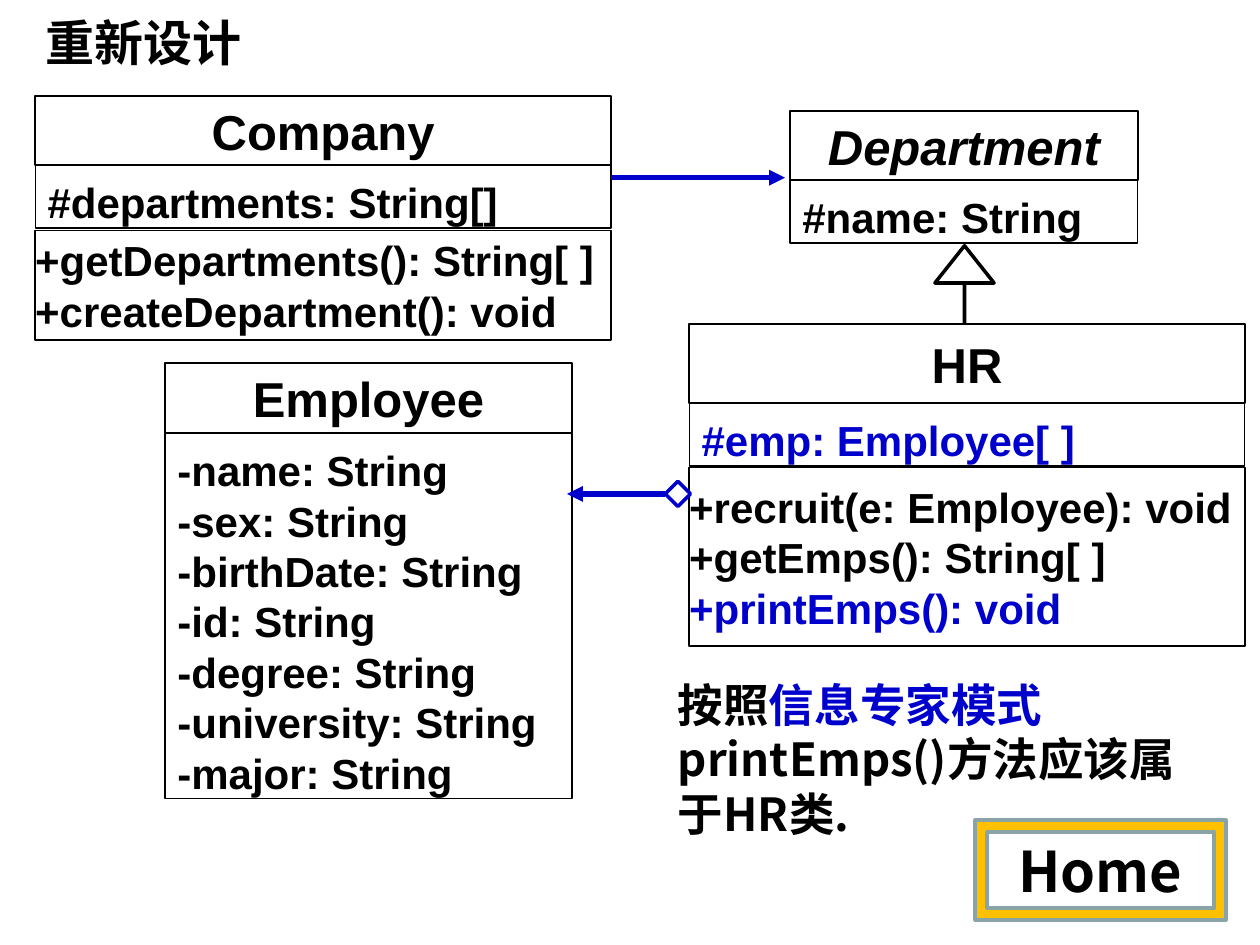
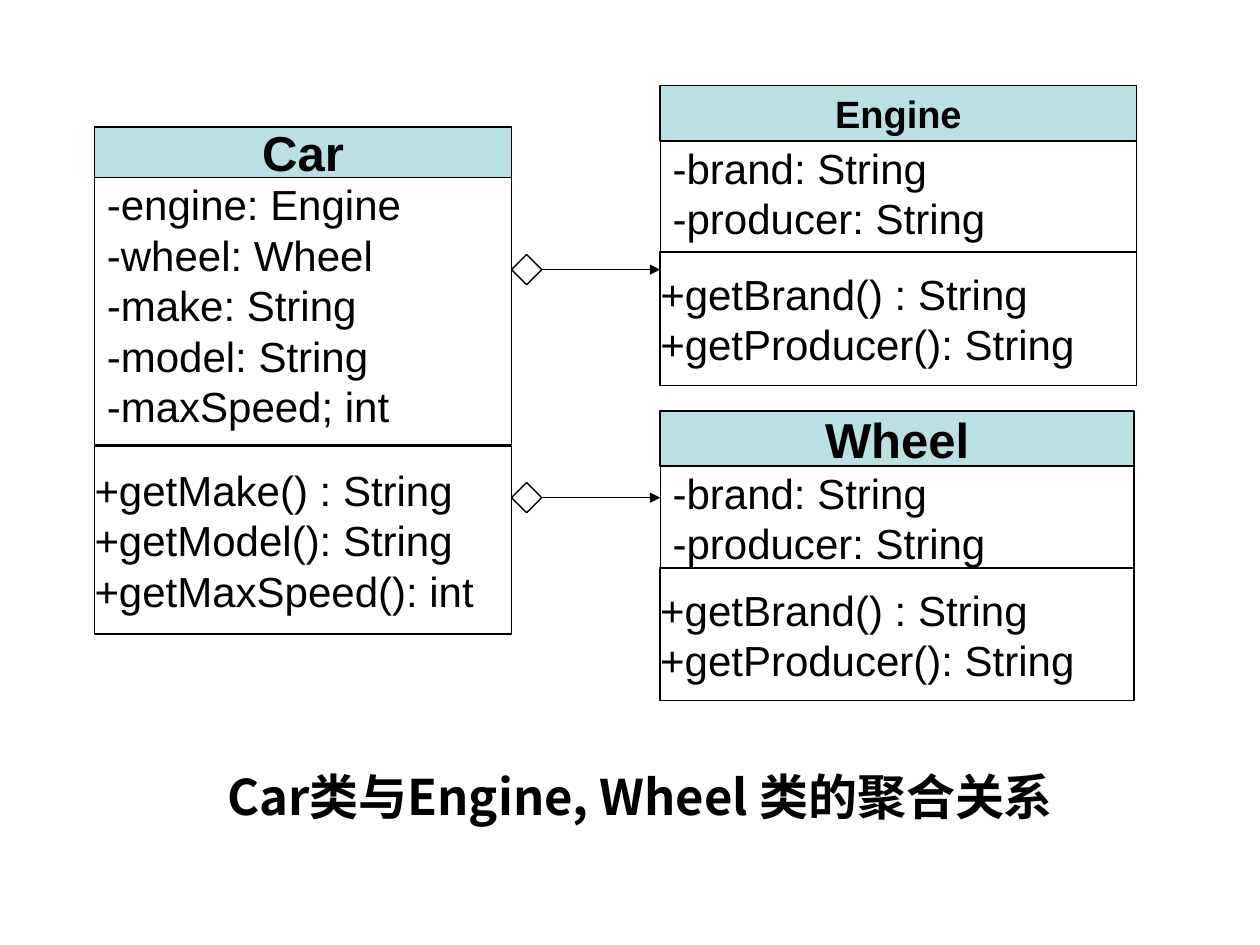
from dataclasses import dataclass

import pptx
import pptx.dml.color
import pptx.enum.shapes
import pptx.enum.text
import pptx.oxml.ns
import pptx.presentation
import pptx.shapes.autoshape
import pptx.shapes.base
import pptx.slide
import pptx.text.text
import pptx.util
from lxml import etree
from pptx.dml.color import RGBColor
from pptx.enum.shapes import MSO_SHAPE
from pptx.enum.text import MSO_ANCHOR, PP_ALIGN
from pptx.util import Inches

BLACK = RGBColor(0x00, 0x00, 0x00)
WHITE = RGBColor(0xFF, 0xFF, 0xFF)
BLUE = RGBColor(0x00, 0x00, 0xCC)
PALE_TEAL = RGBColor(0xBB, 0xE0, 0xE3)
GOLD = RGBColor(0xFF, 0xC0, 0x00)
GREY_TEAL = RGBColor(0x89, 0xA4, 0xA7)

DIAGRAM_FONT = "Arial"
TEXT_FONT = "Noto Sans CJK SC"
MEMBER_SIZE = 24
TITLE_SIZE = 28
TITLE_AND_CONTENT = 1
TITLE_ONLY = 5


@dataclass(frozen=True)
class DiagramStyle:
    header_fill: RGBColor
    bold_members: bool
    attribute_inset: float


@dataclass(frozen=True)
class ClassBox:
    name: str
    left: float
    top: float
    width: float
    heights: tuple[float, ...]
    attributes: tuple[str, ...]
    methods: tuple[str, ...] = ()
    method_gap: float = 0
    name_size: float = TITLE_SIZE
    abstract: bool = False
    highlights: tuple[str, ...] = ()


@dataclass(frozen=True)
class Association:
    start: float
    end: float
    y: float
    color: RGBColor
    line_width: float
    diamond_size: float = 0
    diamond_line: float = 0.75


REDESIGN_STYLE = DiagramStyle(WHITE, True, 0.09)
CAR_STYLE = DiagramStyle(PALE_TEAL, False, 0.01)

REDESIGN_CLASSES = (
    ClassBox("Company", 0.28, 0.76, 4.57, (0.55, 0.5, 0.87),
             ("#departments: String[]",),
             ("+getDepartments(): String[ ]", "+createDepartment(): void"),
             method_gap=0.02),
    ClassBox("HR", 5.47, 2.57, 4.41, (0.63, 0.5, 1.42),
             ("#emp: Employee[ ]",),
             ("+recruit(e: Employee): void", "+getEmps(): String[ ]",
              "+printEmps(): void"),
             method_gap=0.01,
             highlights=("#emp: Employee[ ]", "+printEmps(): void")),
    ClassBox("Employee", 1.31, 2.88, 3.23, (0.56, 2.9),
             ("-name: String", "-sex: String", "-birthDate: String",
              "-id: String", "-degree: String", "-university: String",
              "-major: String")),
    ClassBox("Department", 6.27, 0.88, 2.76, (0.55, 0.5),
             ("#name: String",), abstract=True),
)
REDESIGN_ASSOCIATIONS = (
    Association(4.85, 6.23, 1.41, BLUE, 3),
    Association(5.48, 4.5, 3.92, BLUE, 3, 0.2, 2),
)

PART_ATTRIBUTES = ("-brand: String", "-producer: String")
PART_METHODS = ("+getBrand() : String", "+getProducer(): String")
CAR_CLASSES = (
    ClassBox("Car", 0.75, 1.01, 3.31, (0.4, 2.12, 1.49),
             ("-engine: Engine", "-wheel: Wheel", "-make: String",
              "-model: String", "-maxSpeed; int"),
             ("+getMake() : String", "+getModel(): String",
              "+getMaxSpeed(): int"),
             method_gap=0.01),
    ClassBox("Engine", 5.24, 0.68, 3.78, (0.44, 0.88, 1.06),
             PART_ATTRIBUTES, PART_METHODS, name_size=21.7),
    ClassBox("Wheel", 5.24, 3.26, 3.76, (0.44, 0.81, 1.05),
             PART_ATTRIBUTES, PART_METHODS),
)
CAR_ASSOCIATIONS = tuple(
    Association(4.06, 5.24, y, BLACK, 0.75, 0.24) for y in (2.14, 3.95)
)


def format_run(run: pptx.text.text._Run, font: str, size: float,
               color: RGBColor = BLACK, bold: bool = True,
               italic: bool = False) -> None:
    run.font.name = font
    run.font.size = pptx.util.Pt(size)
    run.font.bold = bold
    run.font.italic = italic
    run.font.color.rgb = color
    east_asian = etree.Element(pptx.oxml.ns.qn("a:ea"), typeface=font)
    run.font._element.find(pptx.oxml.ns.qn("a:latin")).addnext(east_asian)


def set_insets(frame: pptx.text.text.TextFrame, side: float, top: float,
               bottom: float) -> None:
    frame.margin_left = frame.margin_right = Inches(side)
    frame.margin_top, frame.margin_bottom = Inches(top), Inches(bottom)


def place(shape: pptx.shapes.base.BaseShape, left: float, top: float,
          width: float, height: float) -> None:
    shape.left, shape.top = Inches(left), Inches(top)
    shape.width, shape.height = Inches(width), Inches(height)


def add_outlined(slide: pptx.slide.Slide, preset: MSO_SHAPE, left: float,
                 top: float, width: float, height: float,
                 fill: RGBColor = WHITE, line: RGBColor = BLACK,
                 line_width: float = 1) -> pptx.shapes.autoshape.Shape:
    shape = slide.shapes.add_shape(preset, Inches(left), Inches(top),
                                   Inches(width), Inches(height))
    shape.shadow.inherit = False
    shape.fill.solid()
    shape.fill.fore_color.rgb = fill
    shape.line.color.rgb = line
    shape.line.width = pptx.util.Pt(line_width)
    return shape


def draw_class(slide: pptx.slide.Slide, box: ClassBox,
               style: DiagramStyle) -> None:
    compartments = ((box.name,), box.attributes, box.methods)
    top = box.top
    for index, (height, lines) in enumerate(zip(box.heights, compartments)):
        is_name, is_attributes = index == 0, index == 1
        if index == 2:
            top += box.method_gap
        shape = add_outlined(
            slide, MSO_SHAPE.RECTANGLE, box.left, top, box.width, height,
            fill=style.header_fill if is_name else WHITE,
            line_width=0.75 if is_attributes else 1)
        frame = shape.text_frame
        frame.word_wrap = True
        if is_attributes:
            frame.vertical_anchor = MSO_ANCHOR.TOP
            set_insets(frame, 0.1, style.attribute_inset, 0.01)
        else:
            frame.vertical_anchor = MSO_ANCHOR.MIDDLE
            set_insets(frame, 0, 0.03, 0.03)
        frame.text = "\n".join(lines)
        for paragraph in frame.paragraphs:
            paragraph.alignment = PP_ALIGN.CENTER if is_name else PP_ALIGN.JUSTIFY
            format_run(
                paragraph.runs[0], DIAGRAM_FONT,
                box.name_size if is_name else MEMBER_SIZE,
                BLUE if paragraph.text in box.highlights else BLACK,
                bold=is_name or style.bold_members,
                italic=is_name and box.abstract)
        top += height


def draw_association(slide: pptx.slide.Slide, link: Association) -> None:
    size = link.diamond_size
    direction = 1 if link.end > link.start else -1
    line_start = link.start + direction * size
    connector = slide.shapes.add_connector(
        pptx.enum.shapes.MSO_CONNECTOR.STRAIGHT, Inches(line_start),
        Inches(link.y), Inches(link.end), Inches(link.y))
    connector.line.color.rgb = link.color
    connector.line.width = pptx.util.Pt(link.line_width)
    outline = connector.line._get_or_add_ln()
    etree.SubElement(outline, pptx.oxml.ns.qn("a:tailEnd"), type="triangle")
    outline.addnext(etree.Element(pptx.oxml.ns.qn("a:effectLst")))
    if size:
        add_outlined(slide, MSO_SHAPE.DIAMOND, min(link.start, line_start),
                     link.y - size / 2, size, size, line=link.color,
                     line_width=link.diamond_line)


def draw_diagram(slide: pptx.slide.Slide, classes: tuple[ClassBox, ...],
                 associations: tuple[Association, ...],
                 style: DiagramStyle) -> None:
    for box in classes:
        draw_class(slide, box, style)
    for link in associations:
        draw_association(slide, link)


def set_title(slide: pptx.slide.Slide, text: str, left: float, top: float,
              width: float, alignment: PP_ALIGN) -> None:
    title = slide.shapes.title
    place(title, left, top, width, 0.57)
    frame = title.text_frame
    frame.text = text
    frame.word_wrap = True
    frame.auto_size = pptx.enum.text.MSO_AUTO_SIZE.NONE
    frame.vertical_anchor = MSO_ANCHOR.TOP
    set_insets(frame, 0.1, 0.05, 0.05)
    paragraph = frame.paragraphs[0]
    paragraph.alignment = alignment
    format_run(paragraph.runs[0], TEXT_FONT, TITLE_SIZE)


def set_expert_note(slide: pptx.slide.Slide) -> None:
    body = slide.placeholders[1]
    place(body, 5.28, 5.32, 4.22, 1.42)
    frame = body.text_frame
    frame.auto_size = pptx.enum.text.MSO_AUTO_SIZE.NONE
    set_insets(frame, 0.1, 0.05, 0.05)
    paragraph = frame.paragraphs[0]
    properties = paragraph._p.get_or_add_pPr()
    properties.set("marL", "0")
    properties.set("indent", "0")
    etree.SubElement(properties, pptx.oxml.ns.qn("a:buNone"))
    paragraph.space_before = pptx.util.Pt(0)
    for text, color in (("按照", BLACK), ("信息专家模式", BLUE),
                        ("printEmps()方法应该属于HR类.", BLACK)):
        run = paragraph.add_run()
        run.text = text
        format_run(run, TEXT_FONT, 26, color)


def draw_home_button(slide: pptx.slide.Slide) -> None:
    button = add_outlined(slide, MSO_SHAPE.FRAME, 7.74, 6.51, 1.99, 0.79,
                          GOLD, GREY_TEAL, 2)
    button.adjustments[0] = 0.12
    frame = button.text_frame
    frame.text = "Home"
    frame.vertical_anchor = MSO_ANCHOR.MIDDLE
    set_insets(frame, 0.1, 0.05, 0.05)
    paragraph = frame.paragraphs[0]
    paragraph.alignment = PP_ALIGN.CENTER
    format_run(paragraph.runs[0], TEXT_FONT, 32)


def build_redesign(presentation: pptx.presentation.Presentation) -> None:
    slide = presentation.slides.add_slide(
        presentation.slide_layouts[TITLE_AND_CONTENT])
    set_title(slide, "重新设计", 0.26, 0.05, 1.9, PP_ALIGN.LEFT)
    set_expert_note(slide)
    draw_diagram(slide, REDESIGN_CLASSES, REDESIGN_ASSOCIATIONS, REDESIGN_STYLE)
    inheritance = add_outlined(slide, MSO_SHAPE.UP_ARROW, 7.42, 1.95, 0.47,
                               0.61, line_width=2)
    inheritance.adjustments[0] = 0
    inheritance.adjustments[1] = 0.63
    draw_home_button(slide)


def build_car_aggregation(presentation: pptx.presentation.Presentation) -> None:
    slide = presentation.slides.add_slide(presentation.slide_layouts[TITLE_ONLY])
    set_title(slide, "Car类与Engine, Wheel 类的聚合关系", 1.14, 6.03, 7.88,
              PP_ALIGN.CENTER)
    draw_diagram(slide, CAR_CLASSES, CAR_ASSOCIATIONS, CAR_STYLE)


def main() -> None:
    presentation = pptx.Presentation()
    presentation.slide_width = Inches(10)
    presentation.slide_height = Inches(7.5)
    build_redesign(presentation)
    build_car_aggregation(presentation)
    presentation.save("out.pptx")


if __name__ == "__main__":
    main()
